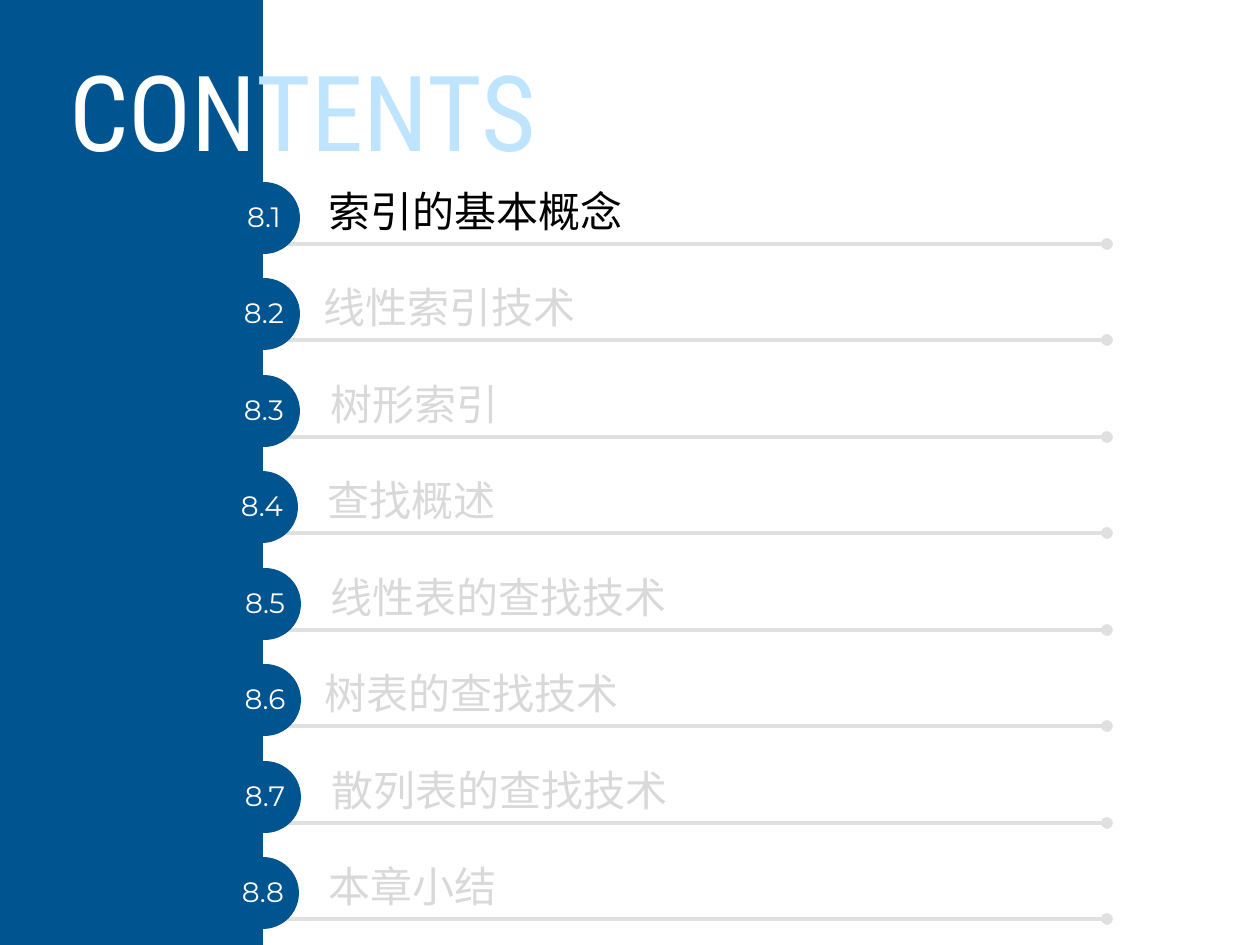
from dataclasses import dataclass

from lxml.etree import SubElement
from pptx import Presentation
from pptx.dml.color import RGBColor
from pptx.enum.shapes import MSO_CONNECTOR, MSO_SHAPE
from pptx.enum.text import MSO_ANCHOR, PP_ALIGN
from pptx.oxml.ns import qn
from pptx.util import Pt

# number, topic, badge left, text left, text width (px)
ROWS = [
    ("8.1", "索引的基本概念", 228, 316, 601),
    ("8.2", "线性索引技术", 228, 311, 606),
    ("8.3", "树形索引", 228, 318, 543),
    ("8.4", "查找概述", 226, 315, 543),
    ("8.5", "线性表的查找技术", 229, 318, 570),
    ("8.6", "树表的查找技术", 229, 312, 645),
    ("8.7", "散列表的查找技术", 229, 319, 543),
    ("8.8", "本章小结", 227, 316, 543),
]
ACTIVE = "8.1"


@dataclass(frozen=True)
class Theme:
    blue: str = "005490"
    pale: str = "BFE4FF"
    white: str = "FFFFFF"
    black: str = "000000"
    muted: str = "D9D9D9"
    rule: str = "E0E0E0"
    title: int = 60
    topic: int = 24
    num: int = 16
    head: str = "Roboto Condensed"
    body: str = "Noto Sans CJK JP"
    digit: str = "Montserrat"


T = Theme()
WIDE, HIGH = 1260, 945
EDGE, END = 263, 1107
FIRST, LAST = 182, 857
BADGE = 72


def px(n):
    return round(n * 914400 / 126)


def box(*args):
    return [px(n) for n in args]


def write(shape, *runs, size, font, align=PP_ALIGN.LEFT, inset=None):
    """Fill a shape with one paragraph of (text, colour) runs."""
    frame = shape.text_frame
    frame.word_wrap = True
    frame.vertical_anchor = MSO_ANCHOR.MIDDLE
    if inset is not None:
        frame.margin_left = frame.margin_right = px(inset)
        frame.margin_top = frame.margin_bottom = px(inset)
    para = frame.paragraphs[0]
    para.alignment = align
    para.line_spacing = 0.9
    for text, color in runs:
        run = para.add_run()
        run.text = text
        run.font.size = Pt(size)
        run.font.color.rgb = RGBColor.from_string(color)
        run.font.name = font
        SubElement(run.font._element, qn("a:ea"), typeface=font)


def solid(shapes, kind, *place):
    shape = shapes.add_shape(kind, *box(*place))
    shape.shadow.inherit = False
    shape.fill.solid()
    shape.fill.fore_color.rgb = RGBColor.from_string(T.blue)
    shape.line.fill.background()
    return shape


def rule(shapes, y):
    line = shapes.add_connector(MSO_CONNECTOR.STRAIGHT, *box(EDGE, y, END, y))
    line.line.color.rgb = RGBColor.from_string(T.rule)
    line.line.width = Pt(2.25)
    props = line._element.spPr
    for end in ("a:headEnd", "a:tailEnd"):
        SubElement(props.find(qn("a:ln")), qn(end), type="oval")
    SubElement(props, qn("a:effectLst"))


def main():
    deck = Presentation()
    deck.slide_width, deck.slide_height = box(WIDE, HIGH)
    shapes = deck.slides.add_slide(deck.slide_layouts[6]).shapes

    step = (LAST - FIRST) / (len(ROWS) - 1)
    tops = [round(FIRST + i * step) for i in range(len(ROWS))]

    for top in tops:
        rule(shapes, top + 62)
    solid(shapes, MSO_SHAPE.RECTANGLE, 0, 0, EDGE, HIGH)
    title = shapes.add_textbox(*box(-5, 44, 615, 146))
    write(title, ("CON", T.white), ("TENTS", T.pale),
          size=T.title, font=T.head, align=PP_ALIGN.CENTER)

    for top, (num, topic, left, start, width) in zip(tops, ROWS):
        badge = solid(shapes, MSO_SHAPE.OVAL, left, top, BADGE, BADGE)
        write(badge, (num, T.white), size=T.num, font=T.digit,
              align=PP_ALIGN.CENTER, inset=0)
        label = shapes.add_textbox(*box(start, top + 7, width, 50))
        color = T.black if num == ACTIVE else T.muted
        write(label, (topic, color), size=T.topic, font=T.body)

    deck.save("out.pptx")


if __name__ == "__main__":
    main()
